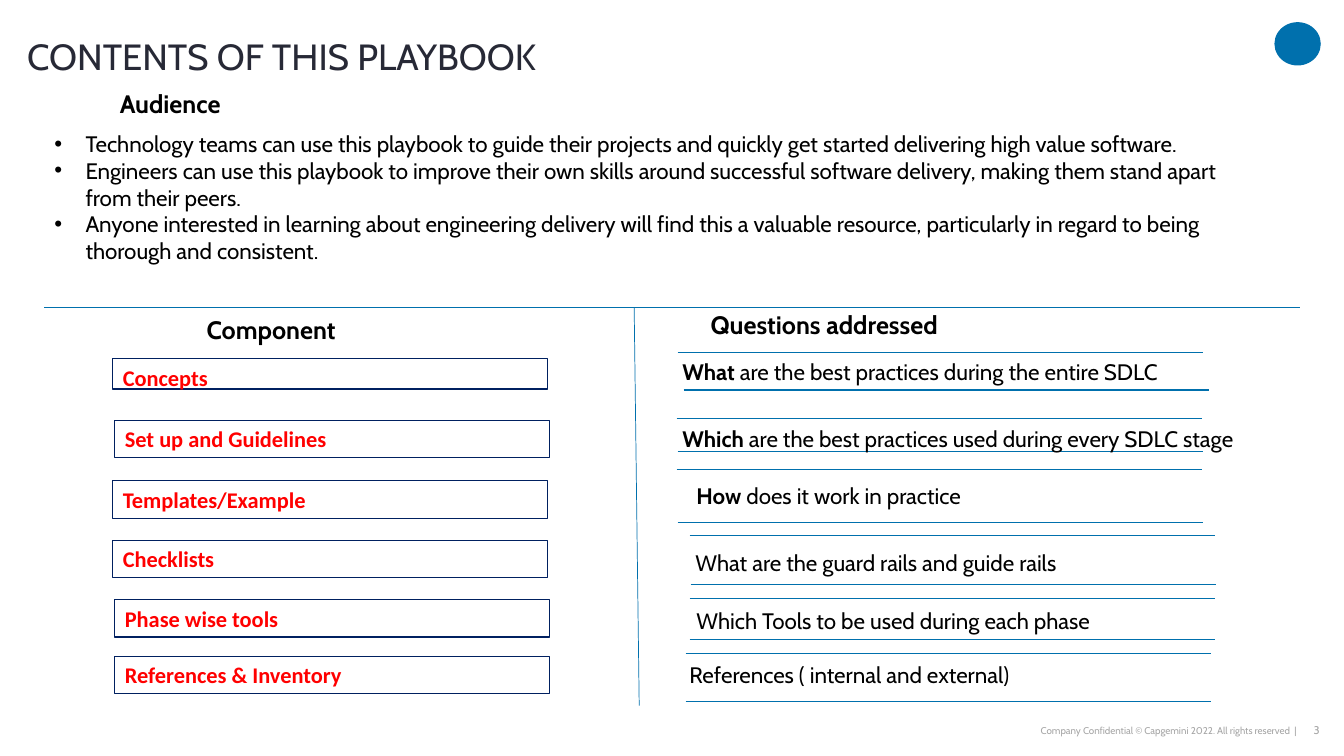
import pptx
import pptx.util
import pptx.dml.color
import pptx.enum.shapes
import pptx.enum.text
from dataclasses import dataclass
from lxml import etree
from pptx.oxml.ns import qn

Inches = pptx.util.Inches
Pt = pptx.util.Pt
ALIGN = pptx.enum.text.PP_ALIGN
ANCHOR = pptx.enum.text.MSO_ANCHOR
SHAPE = pptx.enum.shapes.MSO_SHAPE


@dataclass(frozen=True)
class Theme:
    font: str = "Cabin"
    label: str = "Calibri"
    ink: str = "000000"
    title: str = "272936"
    blue: str = "0070AD"
    navy: str = "002060"
    red: str = "FF0000"
    grey: str = "A6A6A6"
    big: float = 26
    head: float = 18
    body: float = 16
    page: float = 8
    small: float = 7


THEME = Theme()

AUDIENCE = [
    "Technology teams can use this playbook to guide their projects and quickly get started "
    "delivering high value software.",
    "Engineers can use this playbook to improve their own skills around successful software "
    "delivery, making them stand apart from their peers.",
    "Anyone interested in learning about engineering delivery will find this a valuable "
    "resource, particularly in regard to being thorough and consistent.",
]

# label, left, top, height
PARTS = [
    ("Concepts", 0, 0.49, 0.3),
    ("Set up and Guidelines", 0.02, 1.1, 0.37),
    ("Templates/Example", 0, 1.7, 0.37),
    ("Checklists", 0, 2.29, 0.37),
    ("Phase wise tools", 0.02, 2.88, 0.37),
    ("References & Inventory", 0.02, 3.44, 0.37),
]

# bold lead, rest, text corner, start of upper rule, start of lower rule, rule weight
ASKS = [
    ("What ", "are the best practices during the entire SDLC",
     (0, 0.48), (0.05, 0.48), (0.11, 0.85), 1),
    ("Which ", "are the best practices used during every SDLC stage",
     (0, 1.15), (0.04, 1.13), (0.05, 1.46), 1),
    ("How ", "does it work in practice",
     (0.14, 1.71), (0.04, 1.64), (0.05, 2.16), 0.5),
    ("", "What are the guard rails and guide rails",
     (0.13, 2.38), (0.17, 2.29), (0.18, 2.78), 0.5),
    ("", "Which Tools to be used during each phase",
     (0.14, 2.95), (0.17, 2.92), (0.17, 3.32), 0.5),
    ("", "References ( internal and external)",
     (0.07, 3.49), (0.13, 3.46), (0.13, 3.94), 0.5),
]


def color(code):
    return pptx.dml.color.RGBColor.from_string(code)


def write(shape, *lines, lead="", size=THEME.body, font=THEME.font, ink=THEME.ink, bold=False,
          align=ALIGN.LEFT, anchor=ANCHOR.TOP, inset=(0.1, 0.05), space=1.0, bullet=False):
    """Fill a shape with one paragraph per line; lead is a bold start."""
    frame = shape.text_frame
    frame.word_wrap = True
    frame.auto_size = pptx.enum.text.MSO_AUTO_SIZE.NONE
    frame.vertical_anchor = anchor
    frame.margin_left = frame.margin_right = Inches(inset[0])
    frame.margin_top = frame.margin_bottom = Inches(inset[1])
    for i, line in enumerate(lines):
        para = frame.add_paragraph() if i else frame.paragraphs[0]
        para.alignment = align
        para.line_spacing = space
        if bullet:
            props = para._p.get_or_add_pPr()
            props.set("marL", str(Inches(0.31)))
            props.set("indent", str(-Inches(0.31)))
            etree.SubElement(props, qn("a:buFont")).set("typeface", "Arial")
            etree.SubElement(props, qn("a:buChar")).set("char", "•")
        for words, strong in ((lead, True), (line, bold)):
            if words:
                run = para.add_run()
                run.text = words
                run.font.name = font
                run.font.size = Pt(size)
                run.font.bold = strong
                run.font.color.rgb = color(ink)


def text(slide, box, *lines, **style):
    shape = slide.shapes.add_textbox(*map(Inches, box))
    write(shape, *lines, **style)


def rule(slide, start, end, weight=0.5):
    line = slide.shapes.add_connector(pptx.enum.shapes.MSO_CONNECTOR.STRAIGHT,
                                      *map(Inches, (*start, *end)))
    line.line.color.rgb = color(THEME.blue)
    line.line.width = Pt(weight)
    etree.SubElement(line._element.spPr, qn("a:effectLst"))


def block(slide, kind, box, fill=None, edge=None):
    shape = slide.shapes.add_shape(kind, *map(Inches, box))
    shape.shadow.inherit = False
    if fill:
        shape.fill.solid()
        shape.fill.fore_color.rgb = color(fill)
    else:
        shape.fill.background()
    if edge:
        shape.line.color.rgb = color(edge)
        shape.line.width = Pt(0.75)
    else:
        shape.line.fill.background()
    return shape


def header(slide, box):
    x, y, w, h = box
    title = slide.shapes.title
    title.left, title.top, title.width, title.height = map(Inches, (x, y, 11.97, h))
    write(title, "CONTENTS OF THIS PLAYBOOK", size=THEME.big, ink=THEME.title,
          anchor=ANCHOR.BOTTOM, inset=(0, 0), space=0.9)
    block(slide, SHAPE.OVAL, (x + w - 0.46, y + 0.22, 0.46, 0.43), fill=THEME.blue)


def audience(slide, box):
    x, y, w, h = box
    text(slide, (x + 0.65, y, 1.41, 0.4), "Audience", size=THEME.head, bold=True)
    text(slide, (x, y + 0.41, w, h - 0.41), *AUDIENCE, bullet=True)


def frame(slide, box):
    x, y, w, h = box
    rule(slide, (x, y), (x + w, y))
    rule(slide, (x + 5.85, y), (x + 5.9, y + h))


def parts(slide, box):
    x, y, w, h = box
    text(slide, (x + 0.83, y, 2.38, 0.4), "Component", size=THEME.head, bold=True)
    for label, left, top, tall in PARTS:
        shape = block(slide, SHAPE.RECTANGLE, (x + left, y + top, w, tall), edge=THEME.navy)
        write(shape, label, font=THEME.label, ink=THEME.red, bold=True)


def asks(slide, box):
    x, y, w, h = box
    text(slide, (x + 0.28, y, 4.28, 0.4), "Questions addressed", size=THEME.head, bold=True)
    for lead, rest, spot, upper, lower, weight in ASKS:
        for left, top in (upper, lower):
            rule(slide, (x + left, y + top), (x + left + 5.21, y + top), weight)
        text(slide, (x + spot[0], y + spot[1], w, 0.37), rest, lead=lead)


def footer(slide, box):
    x, y, w, h = box
    text(slide, (x, y, 4.96, h), "Company Confidential © Capgemini 2022. All rights reserved  |",
         size=THEME.small, ink=THEME.grey, align=ALIGN.RIGHT, anchor=ANCHOR.MIDDLE, inset=(0, 0))
    text(slide, (x + w - 0.25, y, 0.25, h), "3", size=THEME.page, ink=THEME.grey,
         align=ALIGN.RIGHT, inset=(0, 0.05))


def main():
    deck = pptx.Presentation()
    deck.slide_width, deck.slide_height = Inches(13.33), Inches(7.5)
    slide = deck.slides.add_slide(deck.slide_layouts[5])
    header(slide, (0.27, 0, 12.83, 0.78))
    audience(slide, (0.44, 0.83, 12.23, 2.13))
    frame(slide, (0.44, 3.05, 12.45, 3.95))
    parts(slide, (1.12, 3.07, 4.31, 3.81))
    asks(slide, (6.67, 3.02, 5.8, 3.94))
    footer(slide, (7.9, 7.13, 5.19, 0.24))
    deck.save("out.pptx")


if __name__ == "__main__":
    main()
